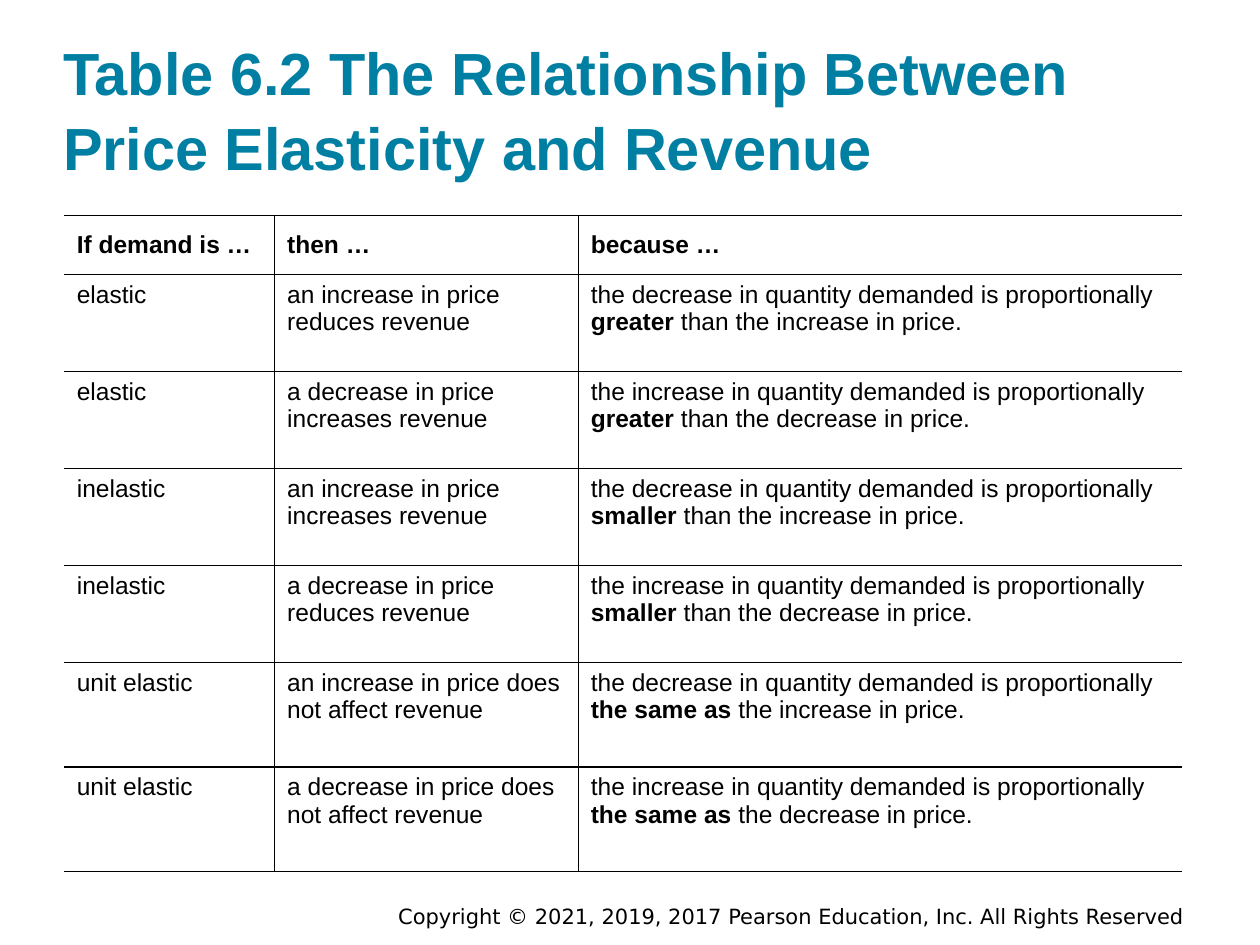
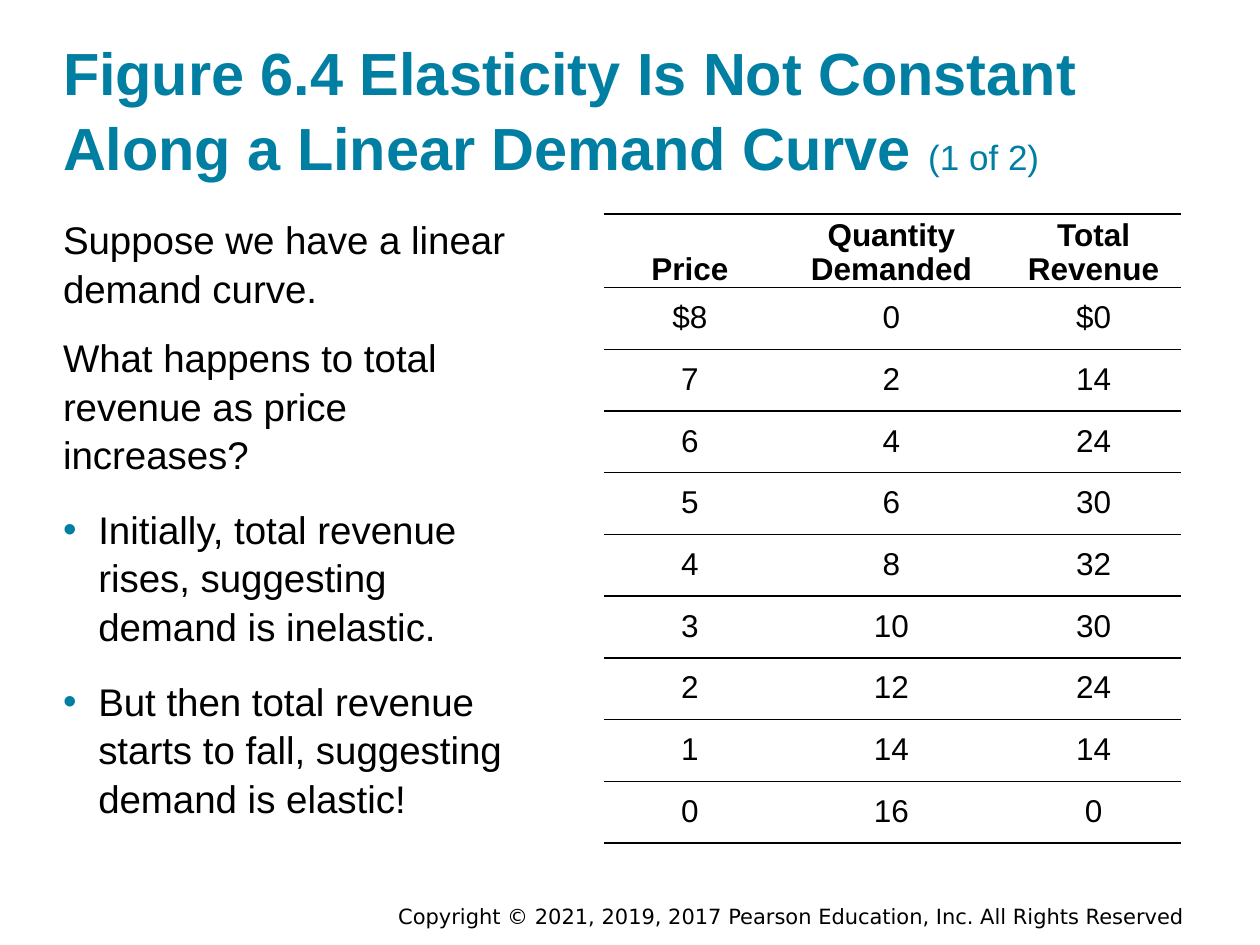
from dataclasses import dataclass

from lxml import etree
from pptx import Presentation
from pptx.dml.color import RGBColor
from pptx.enum import text as t
from pptx.oxml import ns
from pptx.util import Inches, Pt


@dataclass(frozen=True)
class Theme:
    accent: str = "007FA3"
    ink: str = "000000"
    font: str = "Arial"
    footer_font: str = "DejaVu Sans"
    title_size: int = 34
    part_size: int = 20
    body_size: int = 22
    footer_size: int = 12
    line_spacing: float = 1.05
    rule_width: int = 1


@dataclass(frozen=True)
class Span:
    text: str
    bold: bool = False
    size: int | None = None


@dataclass(frozen=True)
class TableStyle:
    size: int
    align: t.PP_ALIGN
    header_anchor: t.MSO_ANCHOR
    body_anchor: t.MSO_ANCHOR
    margin_x: float
    margin_y: float
    column_rules: bool
    line_spacing: float


@dataclass(frozen=True)
class Bullet:
    text: str


THEME = Theme()
FOOTER = "Copyright © 2021, 2019, 2017 Pearson Education, Inc. All Rights Reserved"

PROSE_TABLE = TableStyle(14, t.PP_ALIGN.LEFT, t.MSO_ANCHOR.MIDDLE,
                         t.MSO_ANCHOR.TOP, 0.1, 0.05, True, 1.0)
NUMBER_TABLE = TableStyle(18, t.PP_ALIGN.CENTER, t.MSO_ANCHOR.BOTTOM,
                          t.MSO_ANCHOR.MIDDLE, 0, 0, False, 0.97)

# (demand, price change, effect on revenue, comparison of the two changes)
ELASTICITY_CASES = [
    ("elastic", "increase", "reduces revenue", "greater than"),
    ("elastic", "decrease", "increases revenue", "greater than"),
    ("inelastic", "increase", "increases revenue", "smaller than"),
    ("inelastic", "decrease", "reduces revenue", "smaller than"),
    ("unit elastic", "increase", "does not affect revenue", "the same as"),
    ("unit elastic", "decrease", "does not affect revenue", "the same as"),
]

DEMAND_CURVE_TEXT = [
    "Suppose we have a linear demand curve.",
    "What happens to total revenue as price increases?",
    Bullet("Initially, total revenue rises, suggesting demand is inelastic."),
    Bullet("But then total revenue starts to fall, suggesting demand is elastic!"),
]


def write_spans(para, spans: list[Span], size: int, color: str = THEME.ink,
                font: str = THEME.font) -> None:
    for span in spans:
        run = para.add_run()
        run.text = span.text
        run.font.name = font
        run.font.size = Pt(span.size or size)
        run.font.bold = span.bold
        run.font.color.rgb = RGBColor.from_string(color)


def clear_margins(frame) -> None:
    frame.margin_left = frame.margin_right = 0
    frame.margin_top = frame.margin_bottom = 0


def add_titled_slide(deck, title: list[Span]):
    """Add a slide with its title and the shared copyright footer."""
    page = deck.slides.add_slide(deck.slide_layouts[5])
    box = page.shapes.title
    box.left, box.top, box.width, box.height = map(Inches, (0.5, 0.25, 9, 1.2))
    frame = box.text_frame
    clear_margins(frame)
    frame.auto_size = t.MSO_AUTO_SIZE.NONE
    frame.vertical_anchor = t.MSO_ANCHOR.BOTTOM
    para = frame.paragraphs[0]
    para.alignment = t.PP_ALIGN.LEFT
    para.line_spacing = THEME.line_spacing
    write_spans(para, title, THEME.title_size, THEME.accent)

    footer = page.shapes.add_textbox(*map(Inches, (2.9, 7.04, 6.6, 0.46)))
    footer.text_frame.word_wrap = True
    footer.text_frame.vertical_anchor = t.MSO_ANCHOR.MIDDLE
    para = footer.text_frame.paragraphs[0]
    para.alignment = t.PP_ALIGN.RIGHT
    write_spans(para, [Span(FOOTER)], THEME.footer_size, font=THEME.footer_font)
    return page


def rule_cell(cell, sides: str) -> None:
    """Draw the borders named in sides (from "LRTB") and hide the others."""
    properties = cell._tc.get_or_add_tcPr()
    for side in "LRTB":
        line = etree.SubElement(properties, ns.qn(f"a:ln{side}"),
                                w=str(Pt(THEME.rule_width)))
        if side in sides:
            fill = etree.SubElement(line, ns.qn("a:solidFill"))
            etree.SubElement(fill, ns.qn("a:srgbClr"), val=THEME.ink)
        else:
            etree.SubElement(line, ns.qn("a:noFill"))


def add_ruled_table(page, left: float, top: float, widths: list[float],
                    heights: list[float], rows: list[list[list[Span]]],
                    style: TableStyle) -> None:
    table = page.shapes.add_table(
        len(rows), len(widths), Inches(left), Inches(top),
        Inches(sum(widths)), Inches(sum(heights))).table
    table.horz_banding = False
    for column, width in zip(table.columns, widths):
        column.width = Inches(width)
    last = len(widths) - 1
    for r, (height, row) in enumerate(zip(heights, rows)):
        table.rows[r].height = Inches(height)
        for c, spans in enumerate(row):
            cell = table.cell(r, c)
            cell.margin_left = cell.margin_right = Inches(style.margin_x)
            cell.margin_top = cell.margin_bottom = Inches(style.margin_y)
            cell.vertical_anchor = style.body_anchor if r else style.header_anchor
            sides = "TB"
            if style.column_rules:
                sides += ("L" if c > 0 else "") + ("R" if c < last else "")
            rule_cell(cell, sides)
            cell.fill.background()
            para = cell.text_frame.paragraphs[0]
            para.alignment = style.align
            para.line_spacing = style.line_spacing
            write_spans(para, spans, style.size)


def add_bullet(para) -> None:
    properties = para._p.get_or_add_pPr()
    properties.set("marL", str(Inches(0.28)))
    properties.set("indent", str(-Inches(0.28)))
    color = etree.SubElement(properties, ns.qn("a:buClr"))
    etree.SubElement(color, ns.qn("a:srgbClr"), val=THEME.accent)
    etree.SubElement(properties, ns.qn("a:buFont"), typeface=THEME.font)
    etree.SubElement(properties, ns.qn("a:buChar"), char="•")


def add_body(page, items: list[str | Bullet]) -> None:
    box = page.shapes.add_textbox(*map(Inches, (0.5, 1.7, 3.69, 4.89)))
    frame = box.text_frame
    frame.word_wrap = True
    clear_margins(frame)
    for i, item in enumerate(items):
        para = frame.add_paragraph() if i else frame.paragraphs[0]
        para.line_spacing = THEME.line_spacing
        bulleted = isinstance(item, Bullet)
        if i:
            para.space_before = Pt(15 if bulleted else 12)
        if bulleted:
            add_bullet(para)
        write_spans(para, [Span(item.text if bulleted else item)], THEME.body_size)


def header_row(*labels: str) -> list[list[Span]]:
    return [[Span(label, bold=True)] for label in labels]


def elasticity_row(demand: str, change: str, effect: str,
                   comparison: str) -> list[list[Span]]:
    opposite = "decrease" if change == "increase" else "increase"
    article = "an" if change == "increase" else "a"
    emphasis, than, _ = comparison.partition(" than")
    return [
        [Span(demand)],
        [Span(f"{article} {change} in price {effect}")],
        [Span(f"the {opposite} in quantity demanded is proportionally "),
         Span(f"{emphasis} ", bold=True),
         Span(f"{than.strip()} the {change} in price.".strip())],
    ]


def revenue_row(price: int, top_price: int = 8) -> list[list[Span]]:
    """Price, quantity and revenue on the line where quantity is 2 x (8 - price)."""
    quantity = 2 * (top_price - price)
    sign = "$" if price == top_price else ""
    values = (f"{sign}{price}", f"{quantity}", f"{sign}{price * quantity}")
    return [[Span(value)] for value in values]


def build_relationship_slide(deck) -> None:
    page = add_titled_slide(
        deck, [Span("Table 6.2 The Relationship Between Price Elasticity and Revenue", True)])
    rows = [header_row("If demand is …", "then …", "because …")]
    rows += [elasticity_row(*case) for case in ELASTICITY_CASES]
    add_ruled_table(page, 0.51, 1.71, [1.67, 2.41, 4.79],
                    [0.47] + [0.77] * 4 + [0.83] * 2, rows, PROSE_TABLE)


def build_demand_curve_slide(deck) -> None:
    page = add_titled_slide(deck, [
        Span("Figure 6.4 Elasticity Is Not Constant Along a Linear Demand Curve ", True),
        Span("(1 of 2)", size=THEME.part_size)])
    add_body(page, DEMAND_CURVE_TEXT)
    rows = [header_row("Price", "Quantity Demanded", "Total Revenue")]
    rows += [revenue_row(price) for price in range(8, -1, -1)]
    add_ruled_table(page, 4.79, 1.7, [1.37, 1.83, 1.38],
                    [0.56] + [0.49] * 9, rows, NUMBER_TABLE)


def main() -> None:
    deck = Presentation()
    deck.slide_width, deck.slide_height = Inches(10), Inches(7.5)
    build_relationship_slide(deck)
    build_demand_curve_slide(deck)
    deck.save("out.pptx")


if __name__ == "__main__":
    main()
